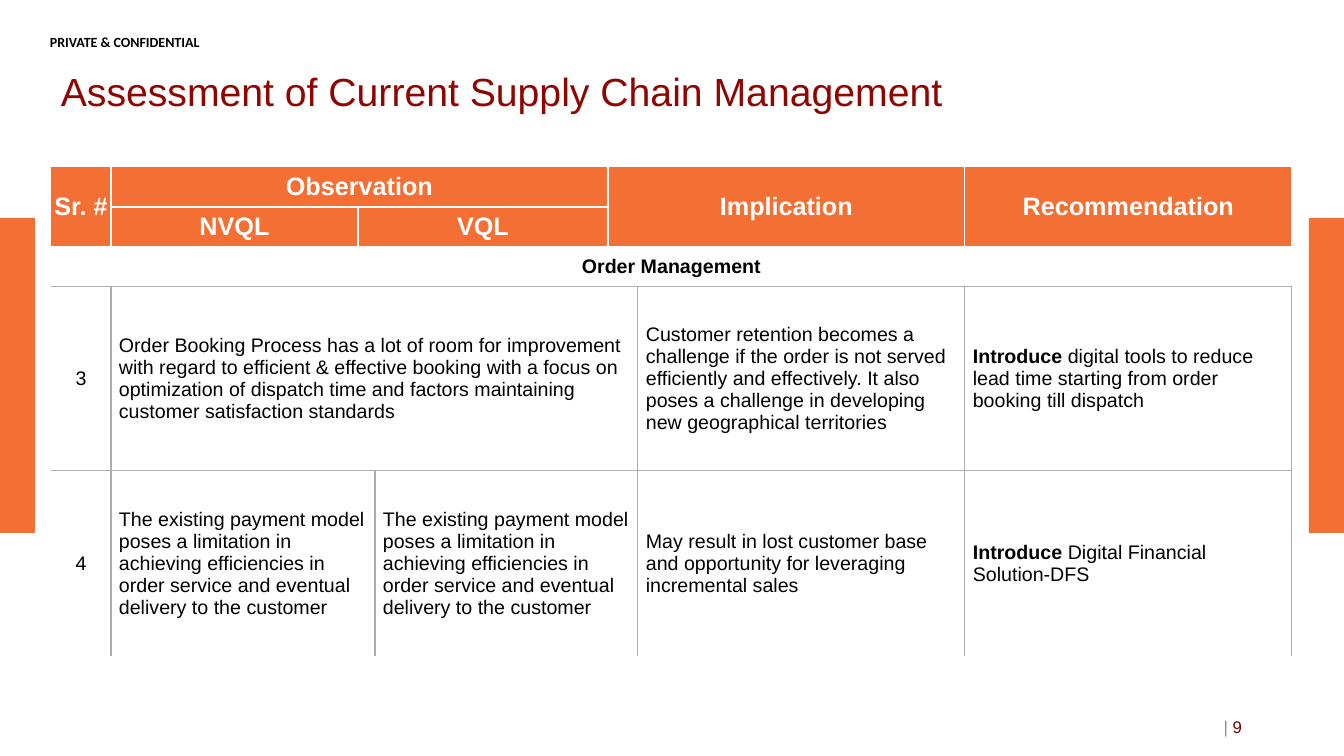
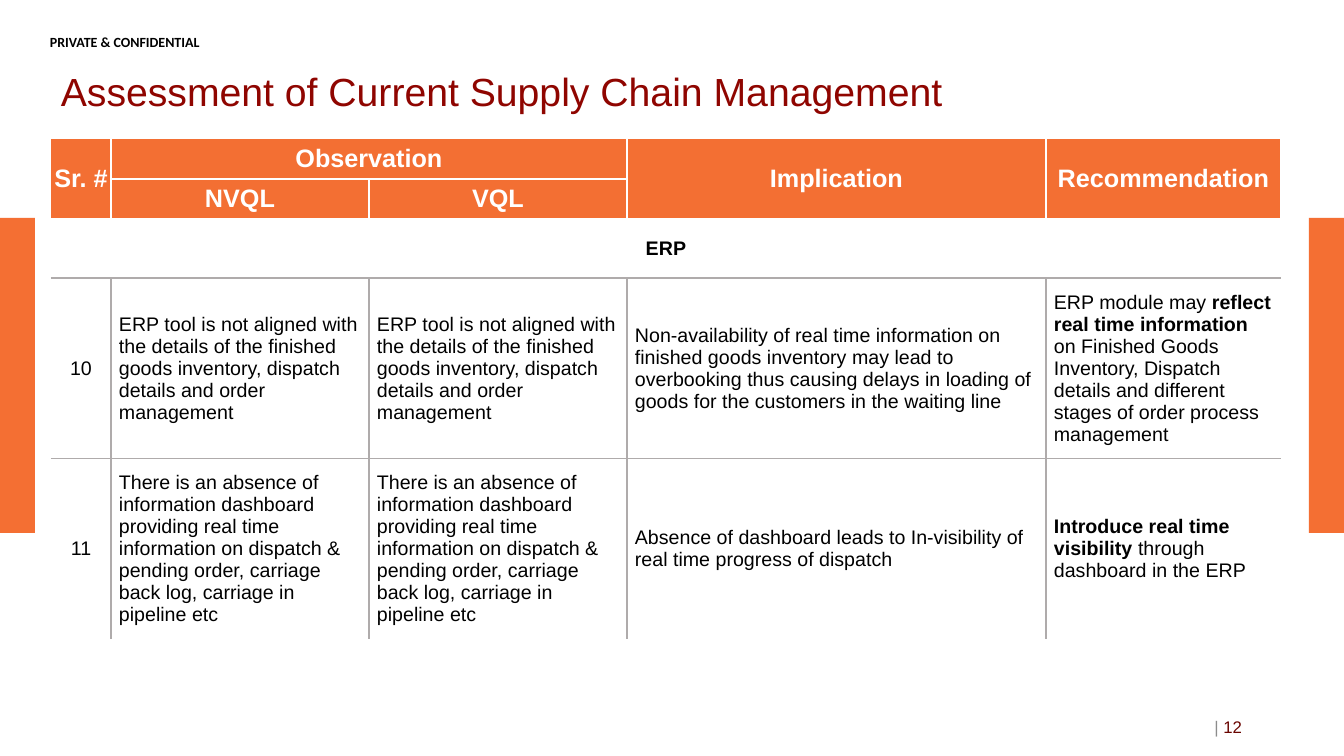
from lxml.etree import SubElement
from pptx import Presentation
from pptx.dml.color import RGBColor
from pptx.enum.shapes import MSO_SHAPE
from pptx.enum.text import MSO_ANCHOR, PP_ALIGN
from pptx.oxml.ns import qn
from pptx.util import Emu, Pt

WIDTH, HEIGHT = 1344, 756
BAND_ORANGE, HEADER_ORANGE = "F46F33", "F36F33"
TITLE_RED, NUMBER_RED = "8F0500", "6A0500"
WHITE, BLACK, RULE_GRAY, MARK_GRAY = "FFFFFF", "000000", "AFABAB", "8C8C8C"
TITLE = "Assessment of Current Supply Chain Management"
UNITS = ("NVQL", "VQL")
NO_STYLE = "{2D5ABB26-0587-4C30-8999-92F81FD0307C}"
TABLE_LEFT = 51
HEADER_ROWS = 2

PAYMENT = ("The existing payment model poses a limitation in achieving efficiencies "
           "in order service and eventual delivery to the customer")
ERP_TOOL = ("ERP tool is not aligned with the details of the finished goods inventory, "
            "dispatch details and order management")
DASHBOARD = ("There is an absence of information dashboard providing real time information on "
             "dispatch & pending order, carriage back log, carriage in pipeline etc")

ORDER_ROWS = [
    [("3", 1),
     ("Order Booking Process has a lot of room for improvement with regard to efficient & "
      "effective booking with a focus on optimization of dispatch time and factors "
      "maintaining customer satisfaction standards", 4),
     ("Customer retention becomes a challenge if the order is not served efficiently and "
      "effectively. It also poses a challenge in developing new geographical territories", 1),
     ("**Introduce **digital tools to reduce lead time starting from order booking "
      "till dispatch", 1)],
    [("4", 1), (PAYMENT, 2), (PAYMENT, 2),
     ("May result in lost customer base and opportunity for leveraging incremental sales", 1),
     ("**Introduce **Digital Financial Solution-DFS", 1)],
]
ERP_ROWS = [
    [("10", 1), (ERP_TOOL, 1), (ERP_TOOL, 1),
     ("Non-availability of real time information on finished goods inventory may lead to "
      "overbooking thus causing delays in loading of goods for the customers in the "
      "waiting line", 1),
     ("ERP module may **reflect real time information **on Finished Goods Inventory, "
      "Dispatch details and different stages of order process management", 1)],
    [("11", 1), (DASHBOARD, 1), (DASHBOARD, 1),
     ("Absence of dashboard leads to In-visibility of real time progress of dispatch", 1),
     ("**Introduce real time visibility **through dashboard in the ERP", 1)],
]


def px(length):
    return Emu(round(length * 914400 / 100.8))


def color(value):
    return RGBColor.from_string(value)


def style(span, size, shade, bold=False, name="Arial"):
    span.font.name = name
    span.font.size = Pt(size)
    span.font.bold = bold
    span.font.color.rgb = color(shade)


def add_band(page, left):
    band = page.shapes.add_shape(MSO_SHAPE.RECTANGLE, px(left), px(218), px(35), px(315))
    band.shadow.inherit = False
    band.fill.solid()
    band.fill.fore_color.rgb = color(BAND_ORANGE)
    band.line.fill.background()


def add_text(page, left, top, width, height, text, anchor=MSO_ANCHOR.MIDDLE):
    box = page.shapes.add_textbox(px(left), px(top), px(width), px(height))
    frame = box.text_frame
    frame.word_wrap = True
    frame.vertical_anchor = anchor
    frame.text = text
    return frame


def add_frame(page, number):
    for left in (0, WIDTH - 35):
        add_band(page, left)

    notice = add_text(page, 50, 34, 255, 12, "PRIVATE & CONFIDENTIAL", MSO_ANCHOR.TOP)
    notice.margin_left = notice.margin_right = notice.margin_top = notice.margin_bottom = 0
    style(notice.paragraphs[0].runs[0], 10, BLACK, True, "Calibri")

    title = add_text(page, 51, 58, 1095, 72, TITLE).paragraphs[0]
    title.line_spacing = 0.9
    style(title.runs[0], 28, TITLE_RED)

    footer = add_text(page, 950, 707, 302, 40, "| ").paragraphs[0]
    footer.alignment = PP_ALIGN.RIGHT
    style(footer.runs[0], 12, MARK_GRAY)
    span = footer.add_run()
    span.text = str(number)
    style(span, 12, NUMBER_RED)


def set_border(cell, side, shade):
    line = SubElement(cell._tc.get_or_add_tcPr(), qn(f"a:ln{side}"), w=str(Pt(1)))
    fill = SubElement(line, qn("a:solidFill"))
    SubElement(fill, qn("a:srgbClr"), val=shade)


def draw_borders(table, row, column, last_row, last_column):
    sides = {"L": column > 0, "R": last_column < len(table.columns) - 1,
             "T": row > 0, "B": last_row < len(table.rows) - 1}
    for r in range(row, last_row + 1):
        for c in range(column, last_column + 1):
            for side, inside in sides.items():
                if inside:
                    under_header = row == HEADER_ROWS and side == "T"
                    shade = WHITE if row < HEADER_ROWS or under_header else RULE_GRAY
                    set_border(table.cell(r, c), side, shade)


def fill_cell(table, row, column, text, columns=1, rows=1):
    header, section = row < HEADER_ROWS, row == HEADER_ROWS
    last_row, last_column = row + rows - 1, column + columns - 1
    draw_borders(table, row, column, last_row, last_column)
    cell = table.cell(row, column)
    if rows * columns > 1:
        cell.merge(table.cell(last_row, last_column))
    if header:
        cell.fill.solid()
        cell.fill.fore_color.rgb = color(HEADER_ORANGE)
    else:
        cell.fill.background()
    margin = px(0 if header else 8)
    cell.margin_left = cell.margin_right = cell.margin_top = cell.margin_bottom = margin
    cell.vertical_anchor = MSO_ANCHOR.MIDDLE
    para = cell.text_frame.paragraphs[0]
    para.alignment = PP_ALIGN.CENTER if header or section or column == 0 else PP_ALIGN.LEFT
    for index, part in enumerate(text.split("**")):
        if part:
            span = para.add_run()
            span.text = part
            style(span, 18 if header else 14, WHITE if header else BLACK,
                  header or section or index % 2 == 1)


def fill_header(table, unit_spans):
    first, second = unit_spans
    implication = 1 + first + second
    recommendation = len(table.columns) - 1
    fill_cell(table, 0, 0, "Sr. #", rows=2)
    fill_cell(table, 0, 1, "Observation", columns=first + second)
    fill_cell(table, 0, implication, "Implication", recommendation - implication, 2)
    fill_cell(table, 0, recommendation, "Recommendation", rows=2)
    fill_cell(table, 1, 1, UNITS[0], columns=first)
    fill_cell(table, 1, 1 + first, UNITS[1], columns=second)


def add_assessment(page, top, widths, heights, unit_spans, section, rows):
    frame = page.shapes.add_table(len(heights), len(widths), px(TABLE_LEFT), px(top),
                                  px(sum(widths)), px(sum(heights)))
    table = frame.table
    table.first_row = table.horz_banding = False
    table._tbl.tblPr.find(qn("a:tableStyleId")).text = NO_STYLE
    for column, width in zip(table.columns, widths):
        column.width = px(width)
    for row, height in zip(table.rows, heights):
        row.height = px(height)

    fill_header(table, unit_spans)
    fill_cell(table, HEADER_ROWS, 0, section, columns=len(widths))
    for row, entries in enumerate(rows, HEADER_ROWS + 1):
        column = 0
        for text, columns in entries:
            fill_cell(table, row, column, text, columns)
            column += columns


def add_page(deck, number, *assessment):
    page = deck.slides.add_slide(deck.slide_layouts[6])
    add_frame(page, number)
    add_assessment(page, *assessment)


def main():
    deck = Presentation()
    deck.slide_width, deck.slide_height = px(WIDTH), px(HEIGHT)
    add_page(deck, 9, 167, (60, 247, 17, 233, 30, 327, 327), (40, 40, 40, 184, 185),
             (1, 2), "Order Management", ORDER_ROWS)
    add_page(deck, 12, 139, (60, 258, 258, 419, 235), (40, 40, 59, 179, 169),
             (1, 1), "ERP", ERP_ROWS)
    deck.save("out.pptx")


if __name__ == "__main__":
    main()
